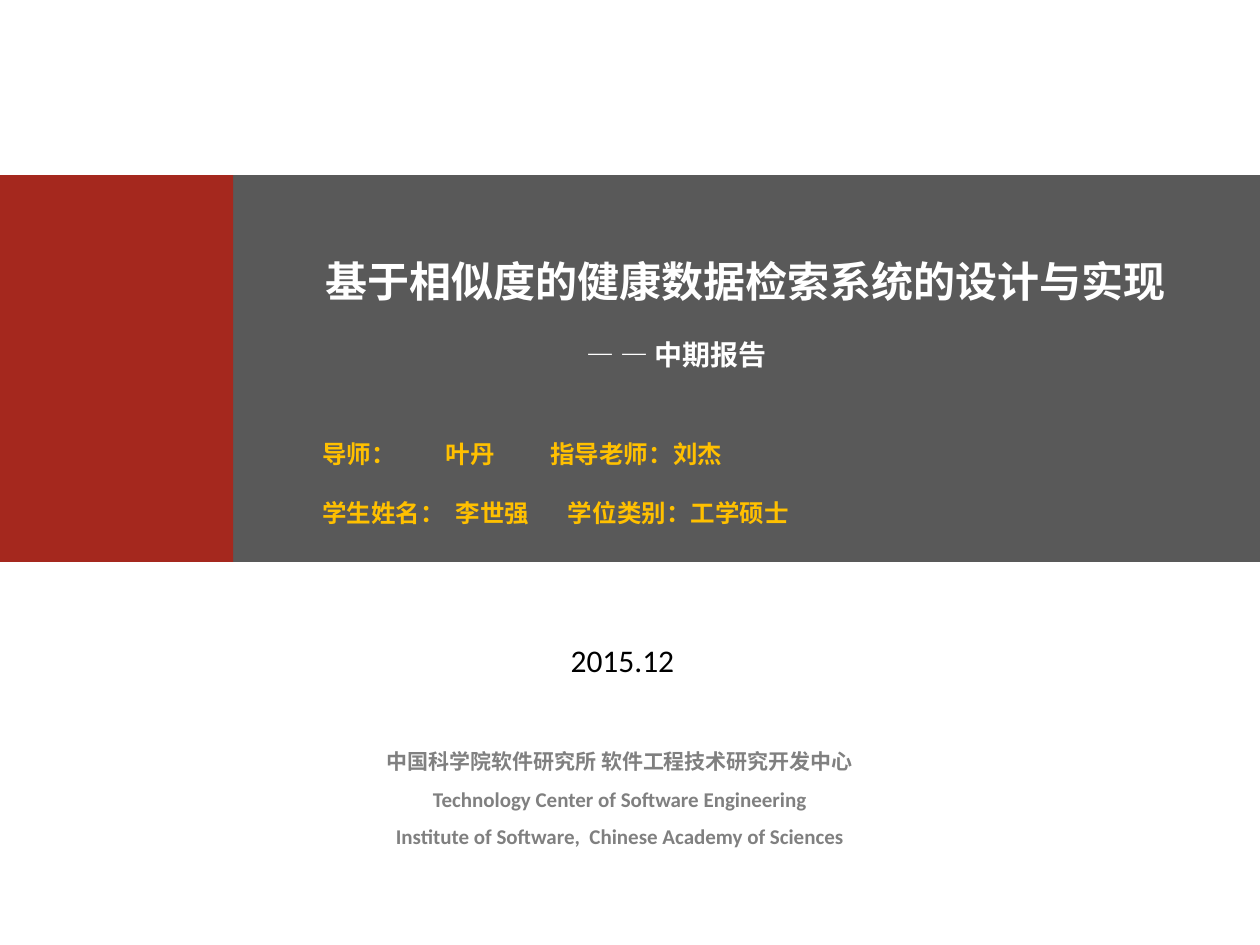
from lxml.etree import SubElement
from pptx import Presentation
from pptx.dml.color import RGBColor
from pptx.enum.shapes import MSO_SHAPE as Shape
from pptx.enum.text import MSO_ANCHOR as Anchor, MSO_AUTO_SIZE as AutoSize, PP_ALIGN as Align
from pptx.oxml.ns import qn
from pptx.util import Inches, Pt

COLORS = {
    "band": "595959",
    "accent": "A5281E",
    "white": "FFFFFF",
    "gold": "FFC000",
    "gray": "808080",
    "black": "000000",
}
CHINESE, LATIN = "Noto Sans CJK SC", "Calibri"


def color(name):
    return RGBColor.from_string(COLORS[name])


def format_span(span, size, tint, bold=True, face=CHINESE):
    span.font.size, span.font.bold, span.font.name = Pt(size), bold, face
    span.font.color.rgb = color(tint)
    SubElement(span.font._element, qn("a:ea"), typeface=face)


def add_block(slide, box, tint):
    block = slide.shapes.add_shape(Shape.RECTANGLE, *map(Inches, box))
    block.shadow.inherit = False
    block.fill.solid()
    block.fill.fore_color.rgb = color(tint)
    block.line.fill.background()


def set_frame(shape, text, anchor=Anchor.TOP):
    frame = shape.text_frame
    frame.text = text
    frame.word_wrap = True
    frame.auto_size = AutoSize.SHAPE_TO_FIT_TEXT
    frame.vertical_anchor = anchor
    return frame


def add_line(slide, box, text, size, tint, spacing=1.5, before=10, **style):
    """Add a text box holding one centred line."""
    frame = set_frame(slide.shapes.add_textbox(*map(Inches, box)), text)
    para = frame.paragraphs[0]
    para.alignment = Align.CENTER
    para.line_spacing, para.space_before = spacing, Pt(before)
    format_span(para.runs[0], size, tint, **style)


def add_people(slide, box):
    """Add the people as rows whose columns sit on tab stops."""
    rows = [
        ("导师：\t叶丹\t指导老师：刘杰", (0.98, 1.81)),
        ("学生姓名：\t李世强\t学位类别：工学硕士", (1.06, 1.95)),
    ]
    text = "\n".join(row for row, _ in rows)
    frame = set_frame(slide.shapes.add_textbox(*map(Inches, box)), text, Anchor.MIDDLE)
    for para, (_, stops) in zip(frame.paragraphs, rows):
        para.line_spacing = 2.0
        tabs = SubElement(para._p.get_or_add_pPr(), qn("a:tabLst"))
        for stop in stops:
            SubElement(tabs, qn("a:tab"), pos=str(Inches(stop)), algn="l")
        for span in para.runs:
            format_span(span, 14, "gold")


def place_institute(slide, box):
    title = slide.shapes.title
    title.left, title.top, title.width, title.height = map(Inches, box)
    frame = set_frame(
        title,
        "中国科学院软件研究所 软件工程技术研究开发中心\v"
        "Technology Center of Software Engineering\v"
        "Institute of Software,  Chinese Academy of Sciences",
        Anchor.MIDDLE,
    )
    para = frame.paragraphs[0]
    para.alignment, para.line_spacing = Align.CENTER, 1.5
    for span, face in zip(para.runs, (CHINESE, LATIN, LATIN)):
        format_span(span, 12, "gray", face=face)


def build_cover(deck):
    slide = deck.slides.add_slide(deck.slide_layouts[0])
    subtitle = slide.placeholders[1].element
    subtitle.getparent().remove(subtitle)
    add_block(slide, (1.85, 1.39, 8.15, 3.07), "band")
    add_block(slide, (0, 1.39, 1.85, 3.07), "accent")
    add_line(slide, (2.17, 1.78, 7.5, 0.71), "基于相似度的健康数据检索系统的设计与实现", 24, "white")
    add_line(slide, (4.21, 2.5, 2.32, 0.5), "— — 中期报告", 16, "white")
    add_people(slide, (2.46, 3.2, 4.57, 1.04))
    add_line(slide, (4.39, 5.04, 1.1, 0.4), "2015.12", 18, "black",
             spacing=1.0, before=0, bold=False, face=LATIN)
    place_institute(slide, (1.34, 5.8, 7.16, 0.98))


def main():
    deck = Presentation()
    deck.slide_width, deck.slide_height = Inches(10), Inches(7.5)
    build_cover(deck)
    deck.save("out.pptx")


if __name__ == "__main__":
    main()
